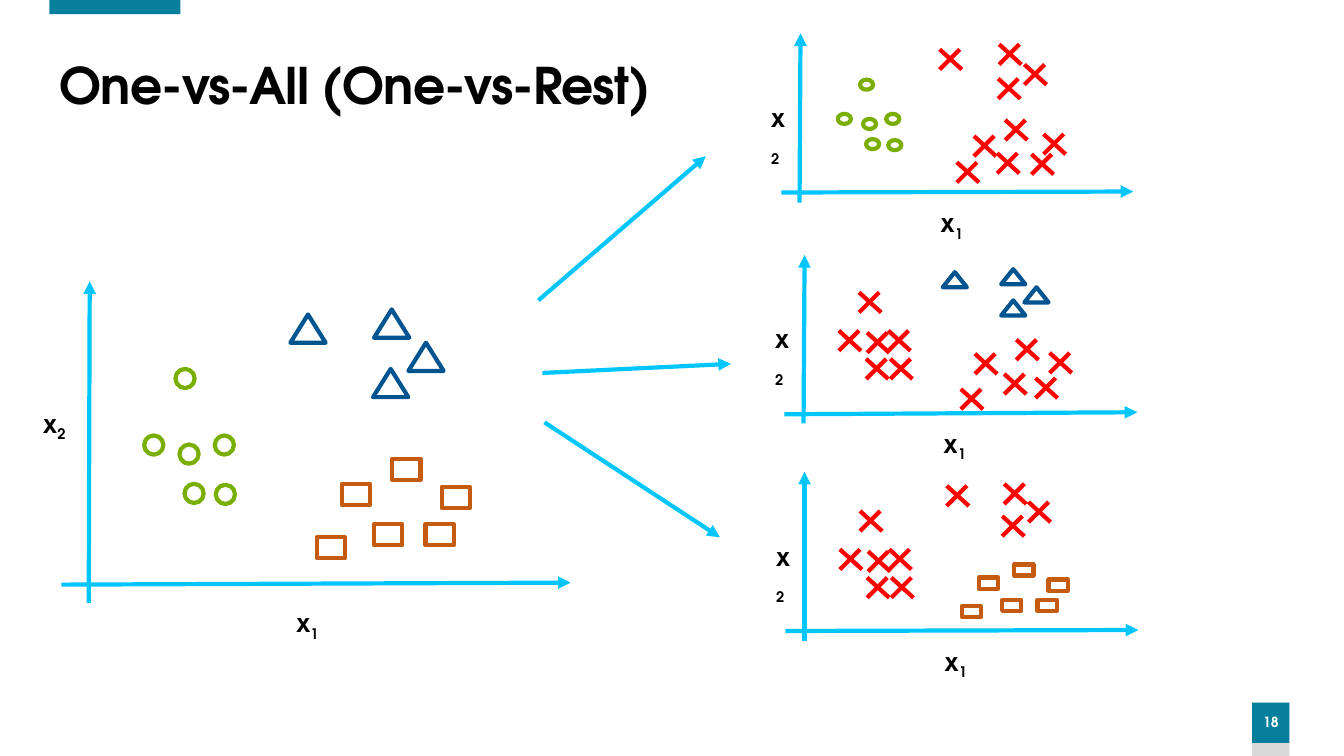
from lxml import etree
from pptx import Presentation
from pptx import util as u
from pptx.dml.color import RGBColor
from pptx.enum import shapes, text
from pptx.oxml import ns

TEAL = RGBColor(0x06, 0x7F, 0x9C)
GREY = RGBColor(0xD9, 0xD9, 0xD9)
CYAN = RGBColor(0x01, 0xC6, 0xFD)
RED = RGBColor(0xFF, 0x00, 0x00)
GREEN = RGBColor(0x79, 0xAE, 0x02)
BLUE = RGBColor(0x00, 0x54, 0x90)
ORANGE = RGBColor(0xC5, 0x5A, 0x11)
WHITE = RGBColor(0xFF, 0xFF, 0xFF)
BLACK = RGBColor(0x00, 0x00, 0x00)
FONT = "TeX Gyre Adventor"
MARK_WEIGHT = 3

TITLE = "One-vs-All (One-vs-Rest)"
PAGE_NUMBER = "18"

MARKERS = {
    "circle": (shapes.MSO_SHAPE.OVAL, GREEN, None),
    "triangle": (shapes.MSO_SHAPE.ISOSCELES_TRIANGLE, BLUE, None),
    "square": (shapes.MSO_SHAPE.RECTANGLE, ORANGE, WHITE),
}

CIRCLE_REST = [(8.83, 3.56), (8.59, 3.56), (8.81, 3.28), (8.6, 3.3), (8.32, 3.28), (8.52, 2.9)]

PLOTS = [
    {
        "x2_axis": (0.88, 5.98, 0.89, 2.79), "x1_axis": (0.61, 5.8, 5.66, 5.78),
        "x2_label": (0.33, 4, 0.56, 0.4), "x1_label": (2.31, 5.98, 1.48, 0.4),
        "classes": [
            ("circle", 0.19, 0.19, [(2.13, 4.32), (1.78, 4.41), (1.43, 4.32),
                                    (2.14, 4.81), (1.83, 4.8), (1.74, 3.66)]),
            ("triangle", 0.35, 0.28, [(3.71, 3.07), (3.7, 3.66), (4.05, 3.4), (2.88, 3.12)]),
            ("square", 0.28, 0.21, [(3.39, 4.8), (3.71, 5.2), (4.22, 5.2),
                                    (3.14, 5.33), (4.38, 4.83), (3.89, 4.55)]),
        ],
        "rest": [],
    },
    {
        "x2_axis": (7.93, 2.01, 7.94, 0.33), "x1_axis": (7.75, 1.91, 11.24, 1.9),
        "x2_label": (7.55, 0.97, 0.38, 0.21), "x1_label": (8.93, 2.01, 1.02, 0.21),
        "classes": [
            ("circle", 0.13, 0.1, [(8.79, 1.13), (8.56, 1.18), (8.31, 1.13),
                                   (8.81, 1.39), (8.59, 1.38), (8.53, 0.79)]),
        ],
        "rest": [(9.97, 1.19), (9.66, 1.35), (9.9, 0.78), (10.16, 0.64), (9.91, 0.44),
                 (9.32, 0.49), (10.35, 1.33), (10.23, 1.53), (9.49, 1.61), (9.89, 1.52)],
    },
    {
        "x2_axis": (7.97, 4.2, 7.98, 2.53), "x1_axis": (7.78, 4.11, 11.28, 4.09),
        "x2_label": (7.59, 3.16, 0.38, 0.21), "x1_label": (8.96, 4.2, 1.02, 0.21),
        "classes": [
            ("triangle", 0.24, 0.15, [(9.93, 2.67), (9.93, 2.98), (10.16, 2.85), (9.35, 2.7)]),
        ],
        "rest": CIRCLE_REST + [(9.53, 3.86), (9.96, 3.71), (10.27, 3.75),
                               (10.41, 3.5), (9.67, 3.51), (10.08, 3.37)],
    },
    {
        "x2_axis": (7.98, 6.36, 7.98, 4.68), "x1_axis": (7.79, 6.26, 11.29, 6.25),
        "x2_label": (7.6, 5.32, 0.38, 0.21), "x1_label": (8.97, 6.36, 1.02, 0.21),
        "classes": [
            ("square", 0.19, 0.11, [(9.71, 5.73), (9.94, 5.95), (10.29, 5.95),
                                    (9.54, 6.01), (10.4, 5.75), (10.06, 5.6)]),
        ],
        "rest": [(x + 0.01, y + 2.17) for x, y in CIRCLE_REST]
                + [(10.2, 4.98), (9.94, 5.12), (9.96, 4.8), (9.39, 4.82)],
    },
]

SPLIT_ARROWS = [(5.34, 2.98, 7, 1.55), (5.38, 3.7, 7.25, 3.61), (5.4, 4.19, 7.14, 5.33)]


def add_line(slide, ends, color, arrow=False):
    line = slide.shapes.add_connector(shapes.MSO_CONNECTOR.STRAIGHT, *map(u.Inches, ends))
    line.line.color.rgb = color
    line.line.width = u.Pt(MARK_WEIGHT)
    if arrow:
        etree.SubElement(line.line._get_or_add_ln(), ns.qn("a:tailEnd"), type="triangle")
    etree.SubElement(line._element.spPr, ns.qn("a:effectLst"))


def add_cross(slide, x, y):
    add_line(slide, (x, y, x + 0.22, y + 0.2), RED)
    add_line(slide, (x, y + 0.2, x + 0.2, y), RED)


def add_block(slide, preset, box, fill=None, outline=None):
    block = slide.shapes.add_shape(preset, *map(u.Inches, box))
    block.shadow.inherit = False
    if fill is None:
        block.fill.background()
    else:
        block.fill.solid()
        block.fill.fore_color.rgb = fill
    if outline is None:
        block.line.fill.background()
    else:
        block.line.color.rgb = outline
        block.line.width = u.Pt(MARK_WEIGHT)
    return block


def add_run(paragraph, words, size, color=BLACK, **extras):
    run = paragraph.add_run()
    run.text = words
    run.font.name = FONT
    run.font.size = u.Pt(size)
    run.font.bold = True
    run.font.color.rgb = color
    for key, value in extras.items():
        run._r.get_or_add_rPr().set(key, value)


def add_words(slide, box):
    frame = slide.shapes.add_textbox(*map(u.Inches, box)).text_frame
    frame.word_wrap = True
    return frame


def add_axis_label(slide, box, index, align):
    paragraph = add_words(slide, box).paragraphs[0]
    paragraph.alignment = align
    add_run(paragraph, "x", 18)
    add_run(paragraph, index, 18, baseline="-25000")


def add_plot(slide, plot):
    for axis in ("x2_axis", "x1_axis"):
        add_line(slide, plot[axis], CYAN, arrow=True)
    add_axis_label(slide, plot["x2_label"], "2", text.PP_ALIGN.LEFT)
    add_axis_label(slide, plot["x1_label"], "1", text.PP_ALIGN.CENTER)
    for marker, width, height, points in plot["classes"]:
        preset, outline, fill = MARKERS[marker]
        for x, y in points:
            add_block(slide, preset, (x, y, width, height), fill, outline)
    for x, y in plot["rest"]:
        add_cross(slide, x, y)


def add_frame(slide):
    rectangle = shapes.MSO_SHAPE.RECTANGLE
    add_block(slide, rectangle, (12.42, 6.97, 0.37, 0.53), GREY)
    page = add_block(slide, rectangle, (12.42, 6.97, 0.37, 0.4), TEAL).text_frame
    add_block(slide, rectangle, (0.49, 0, 1.3, 0.14), TEAL)
    page.margin_left = page.margin_right = 0
    page.vertical_anchor = text.MSO_ANCHOR.MIDDLE
    number = page.paragraphs[0]
    number.alignment = text.PP_ALIGN.CENTER
    number.line_spacing = 0.9
    add_run(number, PAGE_NUMBER, 10, WHITE)

    heading = add_words(slide, (0.49, 0.55, 12.22, 0.65))
    heading.vertical_anchor = text.MSO_ANCHOR.MIDDLE
    heading.paragraphs[0].line_spacing = 0.9
    add_run(heading.paragraphs[0], TITLE, 36, spc="-60")


def main():
    deck = Presentation()
    deck.slide_width = u.Inches(13.33)
    deck.slide_height = u.Inches(7.5)
    slide = deck.slides.add_slide(deck.slide_layouts[6])
    add_frame(slide)
    for plot in PLOTS:
        add_plot(slide, plot)
    for ends in SPLIT_ARROWS:
        add_line(slide, ends, CYAN, arrow=True)
    deck.save("out.pptx")


if __name__ == "__main__":
    main()
